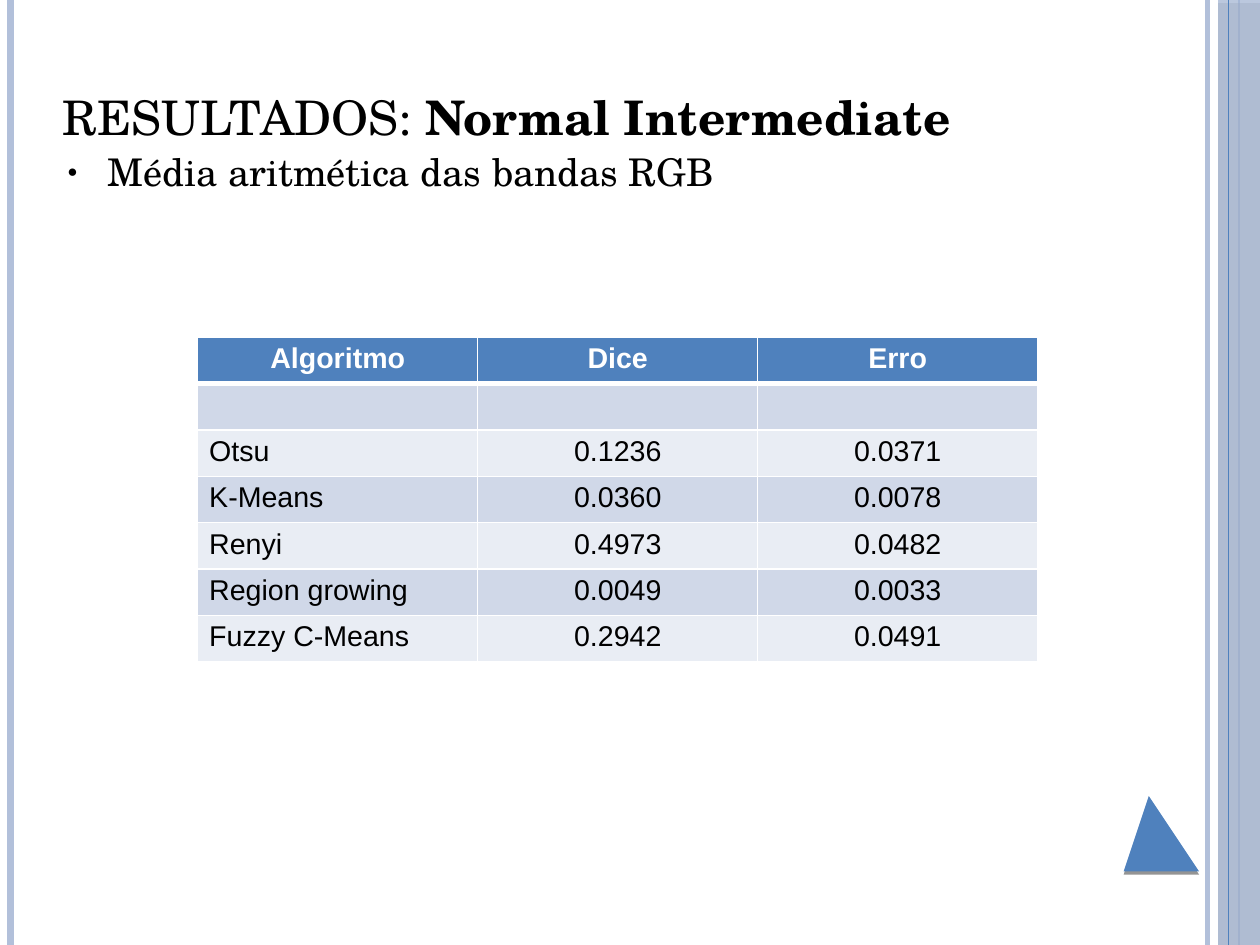
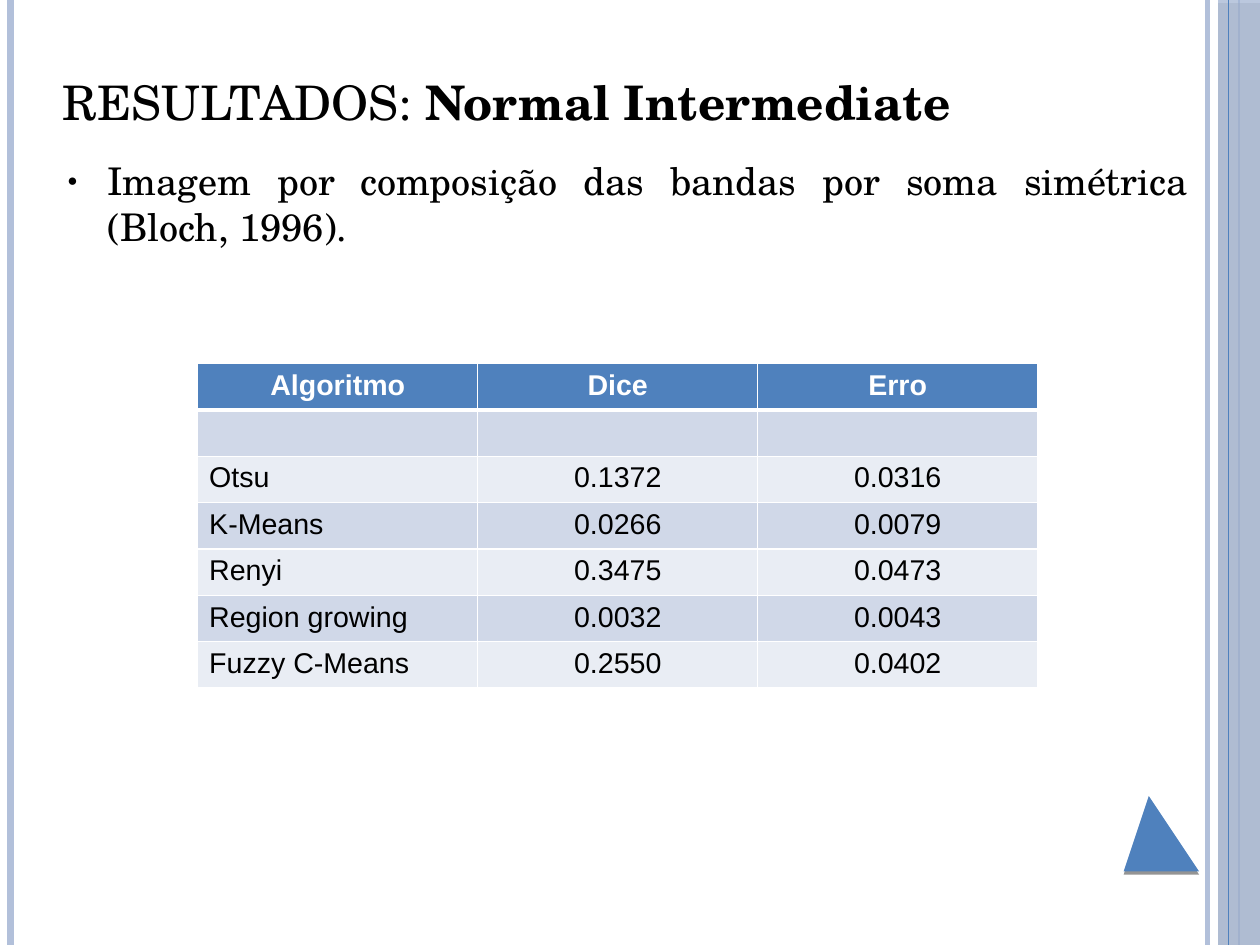
import pptx
import pptx.util
import pptx.dml.color
import pptx.enum.shapes
import pptx.enum.text
import pptx.oxml
import pptx.oxml.ns

Pt = pptx.util.Pt
RGB = pptx.dml.color.RGBColor
ALIGN = pptx.enum.text.PP_ALIGN
ANCHOR = pptx.enum.text.MSO_ANCHOR
NS = pptx.oxml.ns.nsdecls("a")

WIDE = pptx.util.Cm(28)
HIGH = pptx.util.Cm(21)

BLACK = RGB(0x00, 0x00, 0x00)
WHITE = RGB(0xFF, 0xFF, 0xFF)
BLUE = RGB(0x4F, 0x81, 0xBD)
PALE = RGB(0xB2, 0xC0, 0xDA)
BANDS = (RGB(0xD0, 0xD8, 0xE8), RGB(0xE9, 0xED, 0xF4))

HEAD = dict(name="TeX Gyre Schola", size=Pt(30), bold=False)
BODY = dict(name="TeX Gyre Schola", size=Pt(24), bold=False)
CELL = dict(name="Arial", size=Pt(18), bold=False)
FRAME = dict(margin_left=0, margin_top=0, margin_right=0, margin_bottom=0,
             word_wrap=True, auto_size=pptx.enum.text.MSO_AUTO_SIZE.NONE)

TITLE = (("RESULTADOS: ", False), ("Normal Intermediate", True))
LABELS = ("Algoritmo", "Dice", "Erro")
METHODS = ("Otsu", "K-Means", "Renyi", "Region growing", "Fuzzy C-Means")

PAGES = (
    dict(title=3.99, body=15.72, table=35.68,
         text="Média aritmética das bandas RGB",
         dice=("0.1236", "0.0360", "0.4973", "0.0049", "0.2942"),
         error=("0.0371", "0.0078", "0.0482", "0.0033", "0.0491")),
    dict(title=2.42, body=16.67, table=38.48,
         text="Imagem por composição das bandas por soma simétrica (Bloch, 1996).",
         dice=("0.1372", "0.0266", "0.3475", "0.0032", "0.2550"),
         error=("0.0316", "0.0079", "0.0473", "0.0043", "0.0402")),
)


def scale(*shares):
    return [round(share * (HIGH if i % 2 else WIDE) / 100)
            for i, share in enumerate(shares)]


def apply(thing, values):
    for key, value in values.items():
        setattr(thing, key, value)


def write(par, text, font, ink=BLACK):
    run = par.add_run()
    run.text = text
    apply(run.font, font)
    run.font.color.rgb = ink


def place(shape, box):
    apply(shape, dict(zip(("left", "top", "width", "height"), box)))


def shade(shape, drop):
    inner = ""
    if drop:
        inner = ('<a:outerShdw blurRad="0" dist="25400" dir="5400000" rotWithShape="0">'
                 '<a:srgbClr val="000000"><a:alpha val="41000"/></a:srgbClr></a:outerShdw>')
    shape.element.spPr.append(
        pptx.oxml.parse_xml(f"<a:effectLst {NS}>{inner}</a:effectLst>"))


def paint(shape, ink):
    shape.fill.solid()
    shape.fill.fore_color.rgb = ink
    shape.line.fill.background()
    shade(shape, True)


def draw_rule(slide, across, ink, width):
    rule = slide.shapes.add_connector(
        pptx.enum.shapes.MSO_CONNECTOR.STRAIGHT, *scale(across, 0, across, 100))
    rule.line.color.rgb = ink
    rule.line.width = Pt(width)
    shade(rule, False)
    return rule


def draw_band(slide, box):
    band = slide.shapes.add_shape(pptx.enum.shapes.MSO_SHAPE.RECTANGLE, *box)
    paint(band, PALE)
    tint = next(band.element.spPr.iter(pptx.oxml.ns.qn("a:srgbClr")))
    tint.append(pptx.oxml.parse_xml(f'<a:alpha {NS} val="87000"/>'))
    return band


def draw_peak(slide, box):
    left, top, width, height = box
    path = slide.shapes.build_freeform(left, top + height)
    path.add_line_segments([(left + width, top + height),
                            (left + width // 3, top)], close=True)
    peak = path.convert_to_shape()
    paint(peak, BLUE)
    return peak


def dress(layout, slide):
    parts = [
        draw_rule(slide, 95.83, PALE, 3),
        draw_rule(slide, 0.82, PALE, 4.5),
        draw_rule(slide, 98.33, BLUE, 1.5),
        draw_band(slide, scale(96.67, 0, 3.33, 100)),
        draw_rule(slide, 97.5, BLUE, 0.75),
        draw_peak(slide, scale(89.18, 84.24, 5.99, 7.98)),
    ]
    for i, part in enumerate(parts):
        next(part.element.iter(pptx.oxml.ns.qn("p:cNvPr"))).set("id", str(100 + i))
        layout.shapes.element.insert(2 + i, part.element)


def fill_title(shape, box):
    place(shape, box)
    apply(shape.text_frame, FRAME | dict(vertical_anchor=ANCHOR.MIDDLE))
    par = shape.text_frame.paragraphs[0]
    par.alignment = ALIGN.LEFT
    for text, bold in TITLE:
        write(par, text, HEAD | dict(bold=bold))


def fill_body(shape, box, text):
    place(shape, box)
    apply(shape.text_frame, FRAME | dict(vertical_anchor=ANCHOR.TOP))
    par = shape.text_frame.paragraphs[0]
    apply(par, dict(alignment=ALIGN.JUSTIFY, space_before=Pt(0)))
    write(par, text, BODY)
    props = par._p.get_or_add_pPr()
    props.set("marL", str(pptx.util.Inches(0.47)))
    props.set("indent", str(pptx.util.Inches(-0.35)))
    for mark in (f'<a:buClr {NS}><a:srgbClr val="{BLACK}"/></a:buClr>',
                 f'<a:buSzPct {NS} val="45000"/>',
                 f'<a:buChar {NS} char="●"/>'):
        props.append(pptx.oxml.parse_xml(mark))


def edge(cell, row):
    props = cell._tc.get_or_add_tcPr()
    for side in "LRTB":
        thick = (side, row) in (("B", 0), ("T", 1))
        props.append(pptx.oxml.parse_xml(
            f'<a:ln{side} {NS} w="{Pt(3 if thick else 1)}"><a:solidFill>'
            f'<a:srgbClr val="{WHITE}"/></a:solidFill></a:ln{side}>'))


def fill_table(slide, box, rows):
    table = slide.shapes.add_table(len(rows), len(LABELS), *box).table
    for r, row in enumerate(rows):
        for c, text in enumerate(row):
            cell = table.cell(r, c)
            edge(cell, r)
            cell.fill.solid()
            cell.fill.fore_color.rgb = BANDS[(r - 1) % 2] if r else BLUE
            par = cell.text_frame.paragraphs[0]
            par.alignment = ALIGN.CENTER if c or not r else ALIGN.LEFT
            if text:
                write(par, text, CELL | dict(bold=not r), BLACK if r else WHITE)


def build_page(slide, page):
    fill_title(slide.shapes.title, scale(4.99, page["title"], 90, 16.69))
    fill_body(slide.placeholders[1], scale(4.26, page["body"], 90, 16.69),
              page["text"])
    rows = [LABELS, ("",) * len(LABELS), *zip(METHODS, page["dice"], page["error"])]
    fill_table(slide, scale(15.7, page["table"], 66.66, 34.34), rows)


def main():
    deck = pptx.Presentation()
    apply(deck, dict(slide_width=WIDE, slide_height=HIGH))
    layout = deck.slide_layouts[1]
    slides = [deck.slides.add_slide(layout) for page in PAGES]
    dress(layout, slides[0])
    for slide, page in zip(slides, PAGES):
        build_page(slide, page)
    deck.save("out.pptx")


if __name__ == "__main__":
    main()
